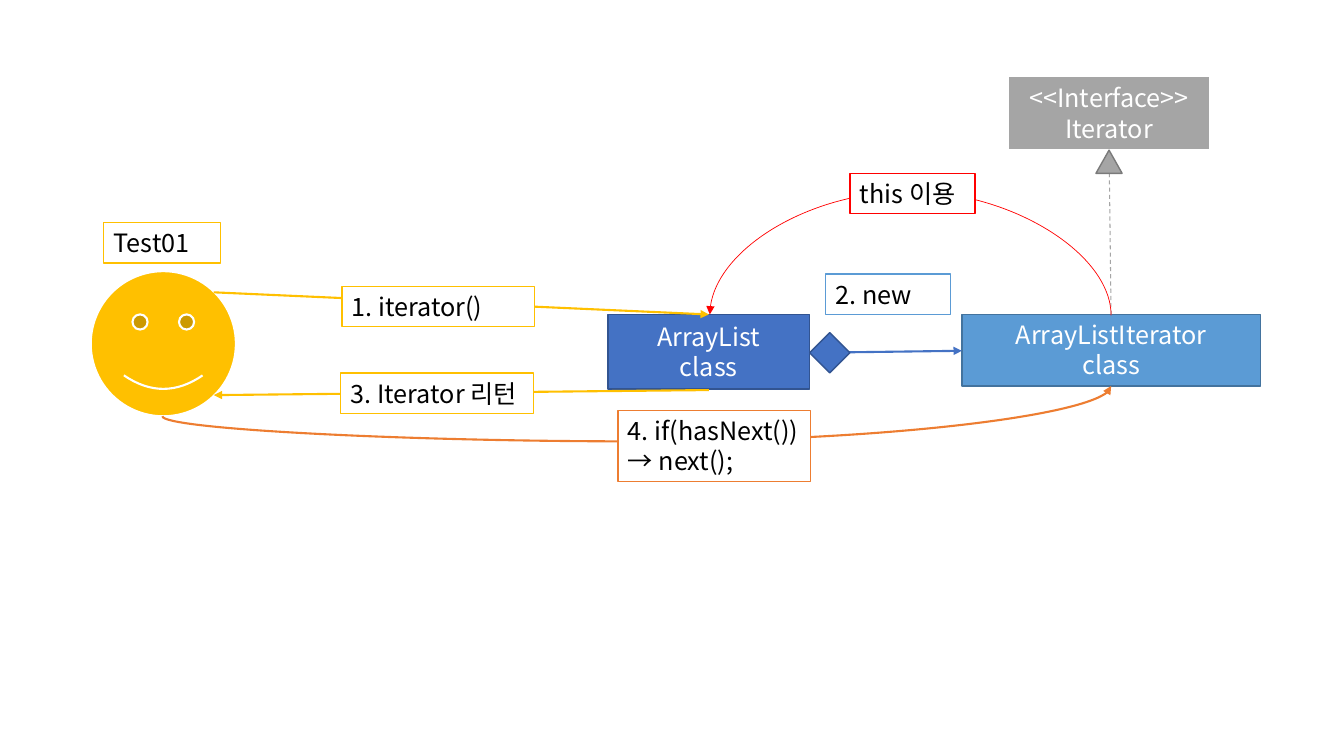
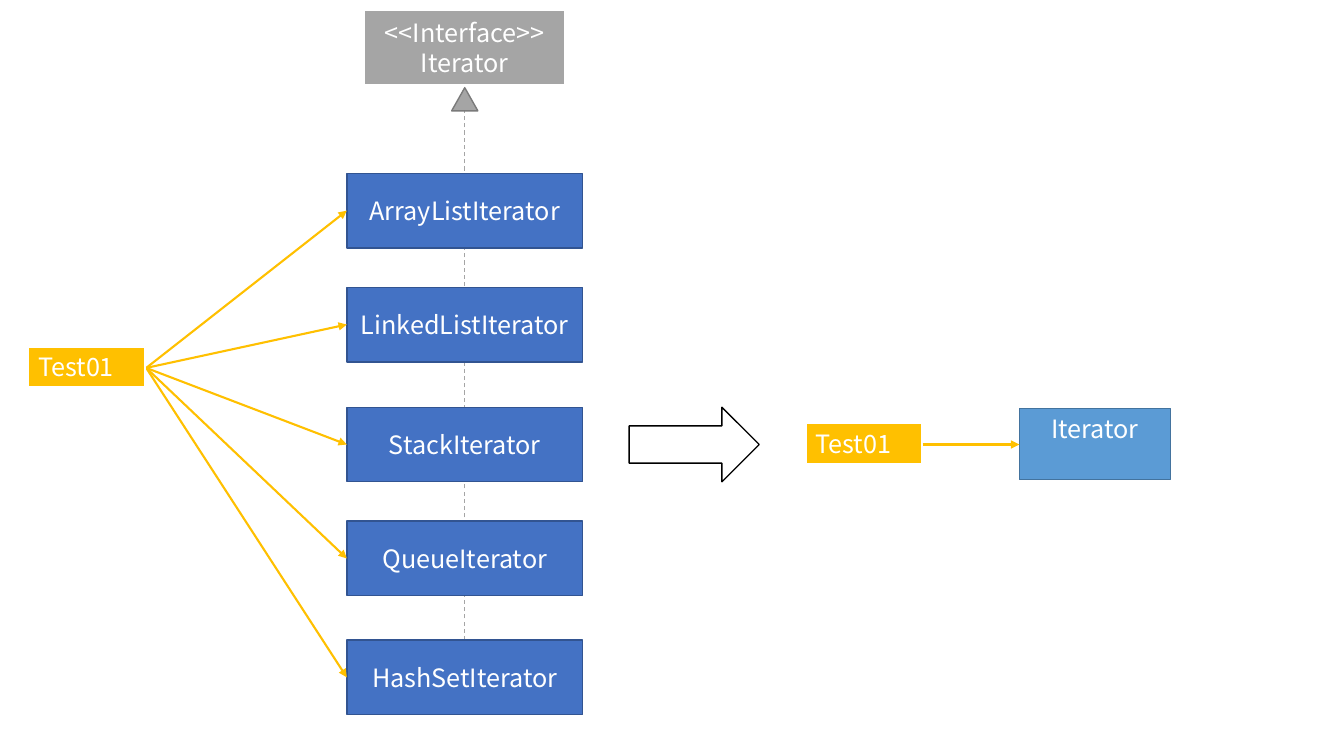
from lxml import etree
from pptx import Presentation
from pptx.dml.color import RGBColor
from pptx.enum.dml import MSO_LINE
from pptx.enum.shapes import MSO_CONNECTOR, MSO_SHAPE
from pptx.enum.text import MSO_ANCHOR, PP_ALIGN
from pptx.oxml.ns import qn
from pptx.util import Pt

PX = 9144  # EMU in one px, 100 px to the inch
WIDE, HIGH = 1333, 750
FONT, SIZE = "Noto Sans CJK KR", 18
RECT, DIAMOND = MSO_SHAPE.RECTANGLE, MSO_SHAPE.DIAMOND
PEAK, FACE = MSO_SHAPE.ISOSCELES_TRIANGLE, MSO_SHAPE.SMILEY_FACE
ARROW = MSO_SHAPE.RIGHT_ARROW
LINE, CURVE = MSO_CONNECTOR.STRAIGHT, MSO_CONNECTOR.CURVE
LEFT, MID = PP_ALIGN.LEFT, PP_ALIGN.CENTER
TOP, CENTER = MSO_ANCHOR.TOP, MSO_ANCHOR.MIDDLE

HUES = {
    "white": "FFFFFF", "black": "000000", "gold": "FFC000",
    "orange": "ED7D31", "red": "FF0000", "gray": "A5A5A5",
    "slate": "7A7A7A", "blue": "4472C4", "navy": "325491",
    "sky": "5B9BD5", "steel": "43739E",
}

# style: fill, line, line width, text, alignment, anchor
STYLES = {
    "class": ("blue", "navy", 1, "white", MID, CENTER),
    "iter": ("sky", "steel", 1, "white", MID, TOP),
    "face": ("gray", "white", 1.5, "white", MID, CENTER),
    "peak": ("gray", "slate", 1, "white", MID, CENTER),
    "test": ("gold", "white", 1.5, "white", LEFT, TOP),
    "arrow": ("white", "black", 1, "black", MID, CENTER),
}
for hue in ("gold", "sky", "orange", "red"):
    STYLES[hue + " note"] = ("white", hue, 1, "black", LEFT, TOP)

INTERFACE = "<<Interface>>\nIterator"

# boxes: left, top, width, height, style, text
CLASSES = [
    (603, 312, 200, 74, "class", "ArrayList\nclass"),
    (954, 312, 296, 71, "iter", "ArrayListIterator\nclass"),
]
CALLS = [
    (339, 284, 191, 40, "gold note", "1. iterator()"),
    (819, 272, 124, 40, "sky note", "2. new"),
    (338, 370, 191, 40, "gold note", "3. Iterator 리턴"),
    (613, 407, 191, 71, "orange note", "4. if(hasNext())\n→ next();"),
]
BACK = (843, 172, 124, 40, "red note", "this 이용")

ITERS = [
    ("ArrayListIterator", 172),
    ("LinkedListIterator", 285),
    ("StackIterator", 404),
    ("QueueIterator", 517),
    ("HashSetIterator", 635),
]
BAR_X, BAR_W, BAR_H = 344, 234, 74
HUB = (145, 365)


def color(name):
    return RGBColor.from_string(HUES[name])


def add_box(slide, x, y, w, h, style, text="", kind=RECT):
    fill, edge, width, ink, align, anchor = STYLES[style]
    box = slide.shapes.add_shape(kind, x * PX, y * PX, w * PX, h * PX)
    box.shadow.inherit = False
    box.fill.solid()
    box.fill.fore_color.rgb = color(fill)
    box.line.color.rgb = color(edge)
    box.line.width = Pt(width)
    if not text:
        return
    frame = box.text_frame
    frame.word_wrap = True
    frame.vertical_anchor = anchor
    frame.text = text
    for para in frame.paragraphs:
        para.alignment = align
        font = para.font
        font.size = Pt(SIZE)
        font.color.rgb = color(ink)
        font.name = FONT
        base = para._p.pPr.find(qn("a:defRPr"))
        etree.SubElement(base, qn("a:ea"), typeface=FONT)


def add_line(slide, start, end, hue, width=1.5, dash=False, kind=LINE):
    """Join two points: an arrow, or a plain dashed line."""
    ends = [v * PX for v in (*start, *end)]
    link = slide.shapes.add_connector(kind, *ends)
    link.line.color.rgb = color(hue)
    link.line.width = Pt(width)
    if dash:
        link.line.dash_style = MSO_LINE.DASH
    else:
        pen = link.line._get_or_add_ln()
        etree.SubElement(pen, qn("a:tailEnd"), type="triangle")
    etree.SubElement(link._element.spPr, qn("a:effectLst"))
    return link


def add_curve(slide, start, end, bend, hue, width):
    """Curve upward from start to end, passing the height bend midway."""
    (x1, y1), (x2, y2) = start, end
    link = add_line(slide, start, end, hue, width, kind=CURVE)
    rise, run = y1 - y2, abs(x2 - x1)
    link.left = (x1 + x2 - rise) * PX // 2
    link.top = (y1 + y2 - run) * PX // 2
    link.width, link.height = rise * PX, run * PX
    right = x2 > x1
    props = link._element.spPr
    frame = props.find(qn("a:xfrm"))
    frame.set("rot", str((90 if right else 270) * 60000))
    frame.set("flipH", "1" if right else "0")
    frame.set("flipV", "1")
    guides = props.find(qn("a:prstGeom")).find(qn("a:avLst"))
    share = round((y1 - bend) / rise * 100000)
    etree.SubElement(guides, qn("a:gd"), name="adj1", fmla=f"val {share}")


def add_interface(slide, x, y, tip):
    add_box(slide, x, y, 200, 74, "face", INTERFACE)
    add_box(slide, x + 87, tip, 26, 23, "peak", kind=PEAK)


def draw_calls(slide):
    for box in CLASSES:
        add_box(slide, *box)
    add_line(slide, (803, 350), (954, 348), "blue")
    add_line(slide, (1102, 312), (1100, 149), "gray", 0.75, dash=True)
    add_interface(slide, 1000, 75, 149)
    add_box(slide, 803, 330, 40, 40, "class", kind=DIAMOND)
    add_box(slide, 90, 269, 144, 144, "test", kind=FACE)
    add_box(slide, 103, 221, 116, 40, "gold note", "Test01")
    add_line(slide, (212, 290), (703, 312), "gold")
    add_line(slide, (703, 387), (212, 392), "gold")
    add_curve(slide, (161, 413), (1102, 383), 438, "orange", 1.5)
    for box in CALLS:
        add_box(slide, *box)
    add_curve(slide, (1102, 313), (704, 312), 188, "red", 0.5)
    add_box(slide, *BACK)


def draw_types(slide):
    add_line(slide, (461, 635), (461, 85), "gray", 0.75, dash=True)
    for name, y in ITERS:
        add_box(slide, BAR_X, y, BAR_W, BAR_H, "class", name)
        add_line(slide, HUB, (BAR_X, y + BAR_H // 2), "gold")
    add_box(slide, 1011, 405, 150, 71, "iter", "Iterator")
    for x, y in ((28, 344), (799, 420)):
        add_box(slide, x, y, 116, 40, "test", "Test01")
    add_line(slide, (915, 441), (1011, 441), "gold")
    add_box(slide, 624, 404, 129, 74, "arrow", kind=ARROW)
    add_interface(slide, 361, 10, 87)


def main():
    deck = Presentation()
    deck.slide_width, deck.slide_height = WIDE * PX, HIGH * PX
    for draw in (draw_calls, draw_types):
        draw(deck.slides.add_slide(deck.slide_layouts[6]))
    deck.save("out.pptx")


if __name__ == "__main__":
    main()
